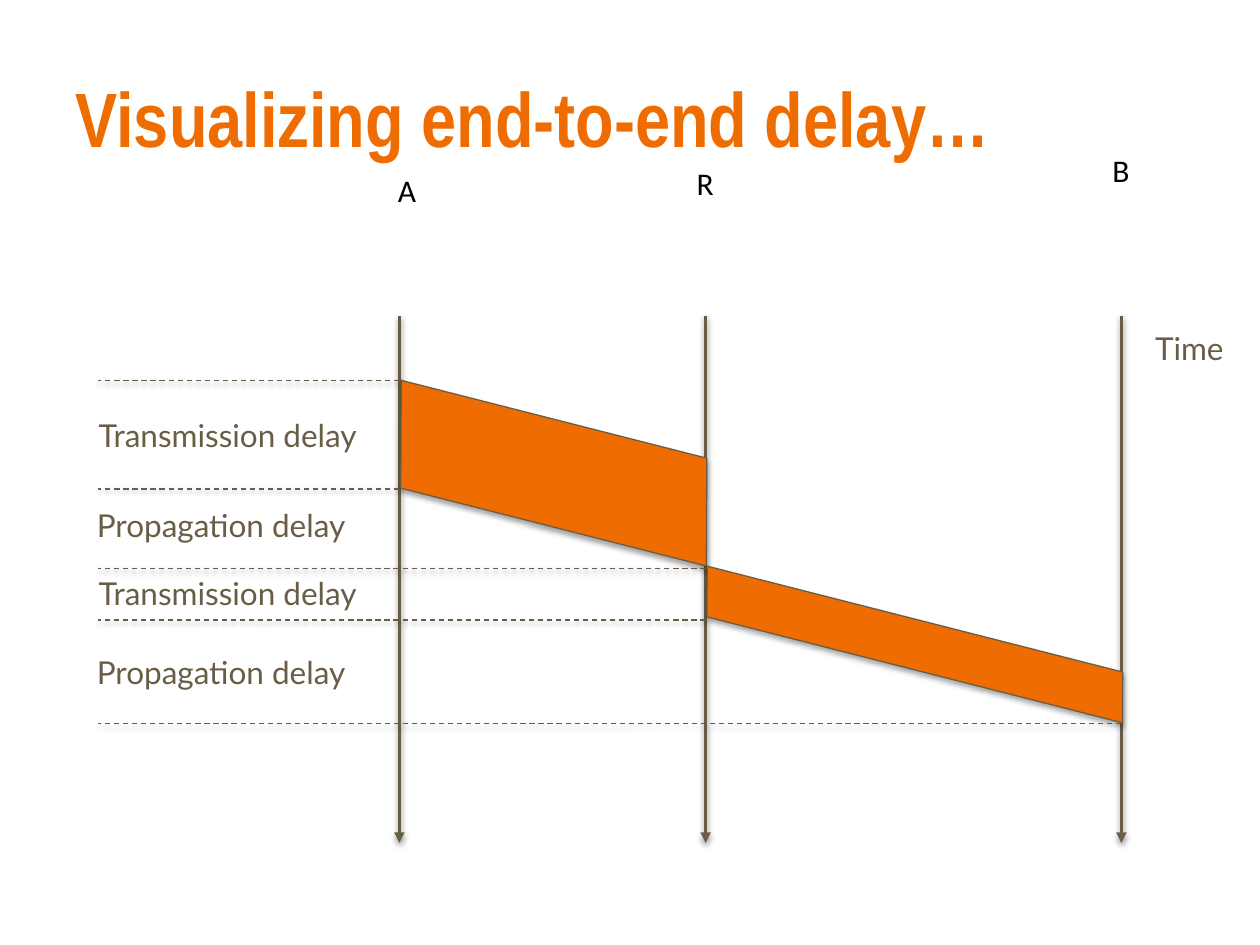
from lxml import etree
from pptx import Presentation
from pptx.dml.color import RGBColor
from pptx.enum import dml, shapes, text
from pptx.oxml.ns import qn
from pptx.util import Inches, Pt

ORANGE, BROWN, BLACK = "EF6C00", "695D46", "000000"
HOST_X = {"A": 3.17, "R": 5.6, "B": 8.9}
LABEL_LEFT = 0.78


def color(hex_value):
    return RGBColor.from_string(hex_value)


def add_shadow(shape, distance, opacity):
    """Soft shadow straight below the shape; call after the line is set."""
    effects = etree.SubElement(shape._element.spPr, qn("a:effectLst"))
    shadow = etree.SubElement(
        effects, qn("a:outerShdw"), blurRad=str(Pt(3.1)),
        dist=str(Pt(distance)), dir="5400000", rotWithShape="0")
    shade = etree.SubElement(shadow, qn("a:srgbClr"), val=BLACK)
    etree.SubElement(shade, qn("a:alpha"), val=str(opacity * 1000))


def add_text(slide, content, left, top, width, height=0.4, size=18,
             font="Lato", hex_value=BROWN, bold=False,
             align=text.PP_ALIGN.RIGHT, anchor=text.MSO_ANCHOR.TOP):
    box = slide.shapes.add_textbox(
        Inches(left), Inches(top), Inches(width), Inches(height))
    frame = box.text_frame
    frame.word_wrap = True
    frame.vertical_anchor = anchor
    paragraph = frame.paragraphs[0]
    paragraph.text = content
    paragraph.alignment = align
    paragraph.font.name = font
    paragraph.font.size = Pt(size)
    paragraph.font.bold = bold
    paragraph.font.color.rgb = color(hex_value)


def add_line(slide, start, end, width, dashed=False, arrow=False):
    line = slide.shapes.add_connector(
        shapes.MSO_CONNECTOR.STRAIGHT, *map(Inches, start + end))
    line.line.color.rgb = color(BROWN)
    line.line.width = Pt(width)
    if dashed:
        line.line.dash_style = dml.MSO_LINE.DASH
    if arrow:
        etree.SubElement(line.line._get_or_add_ln(), qn("a:tailEnd"),
                         type="triangle")
    add_shadow(line, 1.6, 38)


def add_time_axis(slide, x):
    add_line(slide, (x, 2.51), (x, 6.69), 2, arrow=True)


def add_time_mark(slide, x, y):
    add_line(slide, (x, y), (LABEL_LEFT, y), 0.75, dashed=True)


def add_packet(slide, left, top, width, height):
    """Tilted band: a packet on its way over one link."""
    packet = slide.shapes.add_shape(
        shapes.MSO_SHAPE.PARALLELOGRAM,
        Inches(left), Inches(top), Inches(width), Inches(height))
    packet.adjustments[0] = 0.25
    packet.rotation = 194.3
    packet._element.spPr.xfrm.set("flipH", "1")
    packet.fill.solid()
    packet.fill.fore_color.rgb = color(ORANGE)
    packet.line.color.rgb = color(BROWN)
    packet.line.width = Pt(0.75)
    add_shadow(packet, 1.8, 35)


def main():
    presentation = Presentation()
    presentation.slide_width, presentation.slide_height = Inches(10), Inches(7.5)
    slide = presentation.slides.add_slide(presentation.slide_layouts[6])

    add_text(slide, "Visualizing end-to-end delay…", 0.5, 0.3, 9, 1.25,
             size=44, font="Arial Narrow", hex_value=ORANGE, bold=True,
             align=text.PP_ALIGN.LEFT, anchor=text.MSO_ANCHOR.MIDDLE)

    # First link: A to R
    add_time_axis(slide, HOST_X["A"])
    add_time_axis(slide, HOST_X["R"])
    add_packet(slide, 3.04, 3.34, 2.71, 0.83)
    for host, y in (("A", 3.02), ("A", 3.88), ("R", 4.51)):
        add_time_mark(slide, HOST_X[host], y)

    # Second link: R to B
    add_time_axis(slide, HOST_X["B"])
    add_packet(slide, 5.51, 4.92, 3.5, 0.39)
    for host, y in (("R", 4.92), ("B", 5.74)):
        add_time_mark(slide, HOST_X[host], y)

    # Delay labels, one pair per link
    for transmission_top, propagation_top in ((3.25, 3.97), (4.51, 5.13)):
        add_text(slide, "Transmission delay", 0.5, transmission_top, 2.43)
        add_text(slide, "Propagation delay", 0.58, propagation_top, 2.26)

    # Host names and time label
    for host, left, top in (("A", 3.06, 1.31), ("R", 5.43, 1.25),
                            ("B", 8.73, 1.15)):
        add_text(slide, host, left, top, 0.35, font="Calibri",
                 hex_value=BLACK, align=text.PP_ALIGN.LEFT)
    add_text(slide, "Time", 9.01, 2.56, 0.8)

    presentation.save("out.pptx")


if __name__ == "__main__":
    main()
